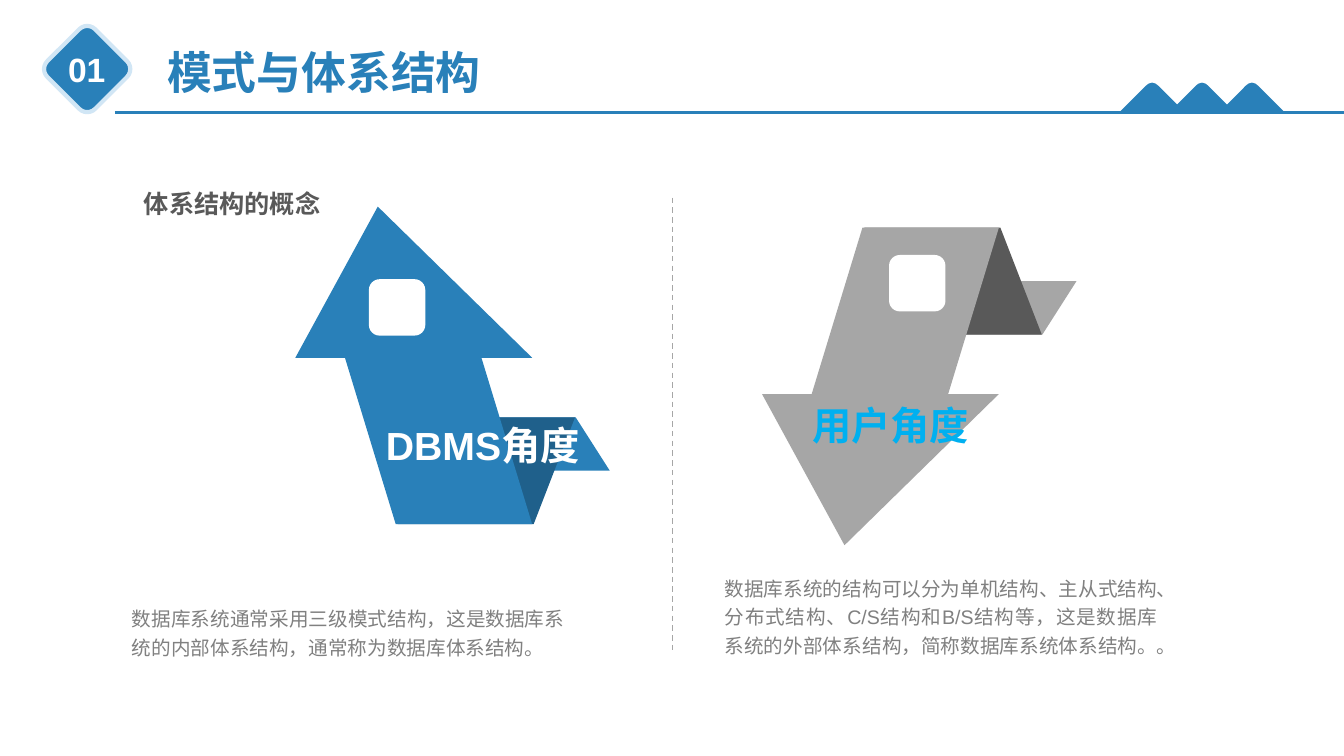
from lxml import etree
from pptx import Presentation
from pptx import util as u
from pptx.dml.color import RGBColor
from pptx.enum import dml, shapes, text
from pptx.oxml.ns import qn

BLUE = RGBColor(0x29, 0x80, 0xB9)
DEEP_BLUE = RGBColor(0x1F, 0x60, 0x8B)
PALE_BLUE = RGBColor(0xD1, 0xE6, 0xF5)
SKY = RGBColor(0x00, 0xB0, 0xF0)
SILVER = RGBColor(0xA6, 0xA6, 0xA6)
GREY = RGBColor(0x80, 0x80, 0x80)
DARK = RGBColor(0x59, 0x59, 0x59)
WHITE = RGBColor(0xFF, 0xFF, 0xFF)

SLIDE_COLUMNS, SLIDE_ROWS = 133.33, 75
SHAPE, ALIGN = shapes.MSO_SHAPE, text.PP_ALIGN


class SlideBuilder:
    """Draws styled elements on a slide, measured in grid cells of a tenth of an inch."""

    font = "Arial"
    cell = 0.1

    def __init__(self, deck):
        self.page = deck.slides.add_slide(deck.slide_layouts[6])

    def cells(self, *counts):
        return [u.Inches(count * self.cell) for count in counts]

    def paint(self, shape, fill):
        shape.shadow.inherit = False
        shape.fill.solid()
        shape.fill.fore_color.rgb = fill
        shape.line.fill.background()
        return shape

    def shape(self, kind, place, fill, adjust=None, flip=""):
        shape = self.page.shapes.add_shape(kind, *self.cells(*place))
        if adjust is not None:
            shape.adjustments[0] = adjust
        frame = shape.element.spPr.find(qn("a:xfrm"))
        for axis in flip:
            frame.set("flip" + axis, "1")
        return self.paint(shape, fill)

    def line(self, start, end, color, width, dash=None):
        line = self.page.shapes.add_connector(
            shapes.MSO_CONNECTOR.STRAIGHT, *self.cells(*start, *end))
        line.line.color.rgb = color
        line.line.width = u.Pt(width)
        if dash:
            line.line.dash_style = dash
        etree.SubElement(line.element.spPr, qn("a:effectLst"))

    def label(self, words, place, size, color, bold=True, wrap=False,
              grow=True, align=ALIGN.LEFT, spacing=None):
        box = self.page.shapes.add_textbox(*self.cells(*place))
        frame = box.text_frame
        frame.text = words
        frame.word_wrap = wrap
        frame.auto_size = (text.MSO_AUTO_SIZE.SHAPE_TO_FIT_TEXT if grow
                           else text.MSO_AUTO_SIZE.NONE)
        para = frame.paragraphs[0]
        para.alignment = align
        if spacing:
            para.line_spacing = spacing
        font = para.runs[0].font
        font.name, font.size, font.bold = self.font, u.Pt(size), bold
        font.color.rgb = color

    def body(self, words, place):
        self.label(words, place, 14, GREY, bold=False, wrap=True,
                   align=ALIGN.JUSTIFY, spacing=1.2)

    def folded_arrow(self, shift, color, fold_color, down=False):
        parts = [
            (SHAPE.PARALLELOGRAM, 42.9, 41.4, 17.6, 5.3, color, 0.639, "H"),
            (SHAPE.PARALLELOGRAM, 39.45, 41.4, 17.6, 10.6, fold_color, 0.387, ""),
            (SHAPE.ISOSCELES_TRIANGLE, 29.3, 20.5, 23.5, 15, color, 0.652, "H"),
            (SHAPE.PARALLELOGRAM, 34.2, 35.4, 18.6, 16.6, color, 0.305, "H"),
        ]
        for kind, left, top, width, height, fill, adjust, flip in parts:
            if down:
                top = 74.6 - top - height
                flip += "V"
            self.shape(kind, (left + shift, top, width, height), fill, adjust, flip)

    def icon(self, left, top):
        self.shape(SHAPE.ROUNDED_RECTANGLE, (left, top, 5.6, 5.6), WHITE, 0.19)

    def peak(self, center, base):
        slope = [(3.3, 0), (0.6, 2.7), (0.35, 2.9)]
        outline = ([(-x, y) for x, y in slope] + [(0, 3)] + slope[::-1])
        points = [self.cells(center + x, base - y) for x, y in outline]
        builder = self.page.shapes.build_freeform(*points[0])
        builder.add_line_segments(points[1:], close=True)
        self.paint(builder.convert_to_shape(), BLUE)

    def header(self, number, title):
        diamond = self.shape(SHAPE.ROUNDED_RECTANGLE, (5.3, 3.5, 6.7, 6.7), BLUE)
        diamond.rotation = 45
        diamond.line.color.rgb = PALE_BLUE
        diamond.line.width = u.Pt(3)
        self.line((11.4, 11.2), (SLIDE_COLUMNS, 11.2), BLUE, 2.25)
        self.label(title, (15.6, 3.9, 33.4, 6.4), 32, BLUE)
        self.label(number, (5.7, 4.4, 5.8, 5), 24, WHITE, align=ALIGN.CENTER)
        for index in range(3):
            self.peak(114.3 + 4.95 * index, 11.2)


def main():
    deck = Presentation()
    deck.slide_width = u.Inches(SLIDE_COLUMNS * SlideBuilder.cell)
    deck.slide_height = u.Inches(SLIDE_ROWS * SlideBuilder.cell)
    slide = SlideBuilder(deck)

    slide.folded_arrow(0, BLUE, DEEP_BLUE)
    slide.icon(36.6, 27.7)
    slide.label("DBMS角度", (37.3, 41.3, 12.4, 5.7), 28, WHITE, grow=False)
    slide.body("数据库系统通常采用三级模式结构，这是数据库系统的内部体系结构，"
               "通常称为数据库体系结构。", (12.1, 59.3, 44.9, 6.4))

    slide.folded_arrow(46.3, SILVER, DARK, down=True)
    slide.label("用户角度", (79.6, 39.3, 11.2, 5.7), 28, SKY, grow=False)
    slide.line((66.7, 19.6), (66.7, 64.6), SILVER, 1, dml.MSO_LINE.DASH)

    slide.header("01", "模式与体系结构")
    slide.icon(88.2, 25.3)
    slide.body("数据库系统的结构可以分为单机结构、主从式结构、分布式结构、"
               "C/S结构和B/S结构等，这是数据库系统的外部体系结构，"
               "简称数据库系统体系结构。。", (70.9, 56.3, 44.9, 9.5))
    slide.label("体系结构的概念", (13.3, 17.6, 48.1, 4.3), 18, DARK,
                wrap=True, spacing=1.2)
    deck.save("out.pptx")


if __name__ == "__main__":
    main()
